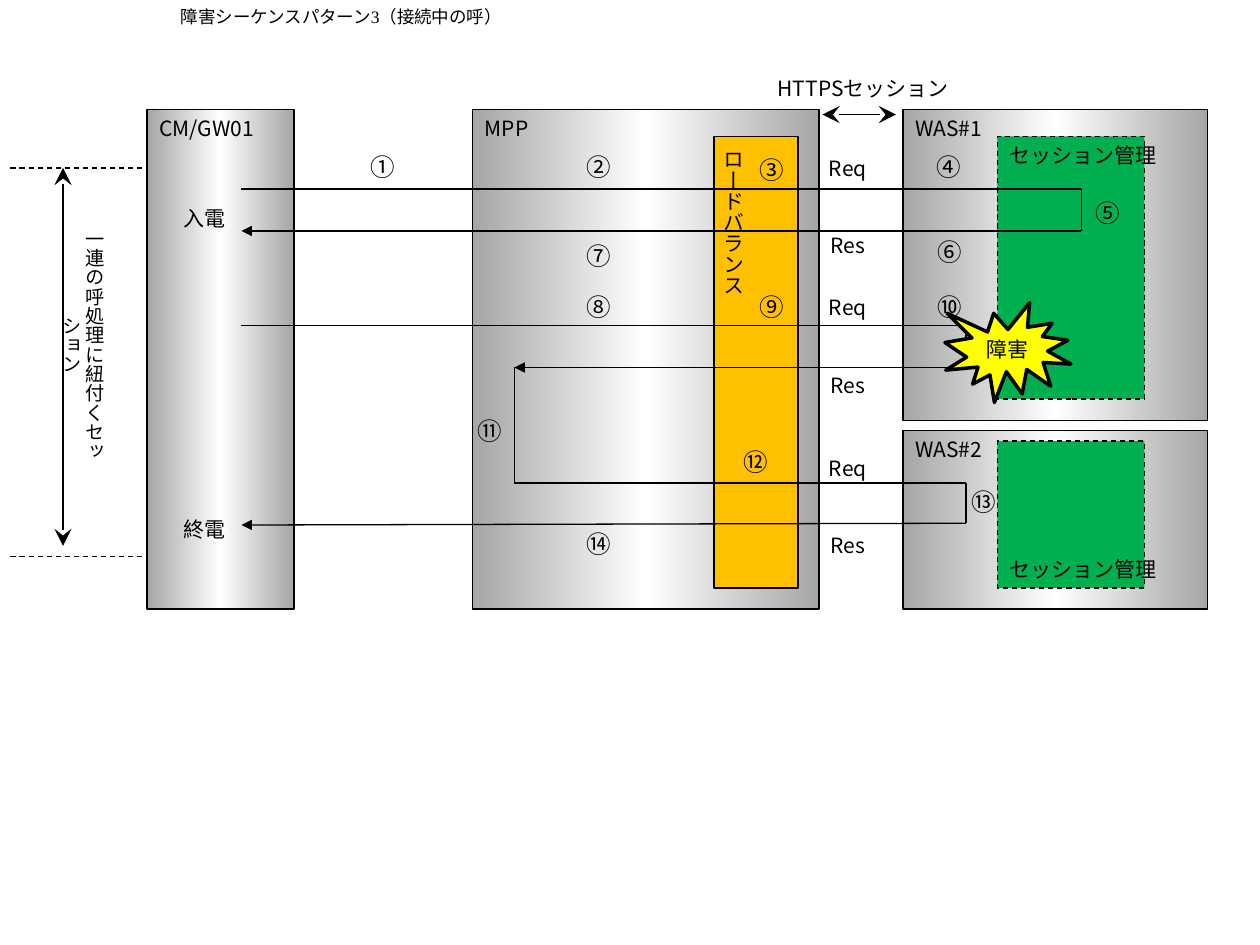
from copy import deepcopy

from lxml import etree
from pptx import Presentation
from pptx.dml.color import RGBColor
from pptx.enum.dml import MSO_LINE
from pptx.enum.shapes import MSO_CONNECTOR, MSO_SHAPE
from pptx.enum.text import MSO_ANCHOR, MSO_AUTO_SIZE, PP_ALIGN
from pptx.oxml.ns import qn
from pptx.util import Pt

RECT, BURST = MSO_SHAPE.RECTANGLE, MSO_SHAPE.EXPLOSION1
STRAIGHT, DASH = MSO_CONNECTOR.STRAIGHT, MSO_LINE.DASH
TOP, MIDDLE, BOTTOM = MSO_ANCHOR.TOP, MSO_ANCHOR.MIDDLE, MSO_ANCHOR.BOTTOM
LEFT, CENTER = PP_ALIGN.LEFT, PP_ALIGN.CENTER

BLACK = RGBColor(0, 0, 0)
WHITE = RGBColor(255, 255, 255)
GRAY = RGBColor(0xA6, 0xA6, 0xA6)
GREEN = RGBColor(0, 0xB0, 0x50)
ORANGE = RGBColor(0xFF, 0xC0, 0)
YELLOW = RGBColor(0xFF, 0xFF, 0)
FONT = "Noto Sans CJK JP"

TITLE = "障害シーケンスパターン3（接続中の呼）"

# Text, left, top, width, height
SYSTEMS = [
    ("WAS#1", 516, 62.5, 174, 178),
    ("WAS#2", 516, 246, 174, 102),
    ("CM/GW01", 84, 62.5, 84, 285.5),
    ("MPP", 270, 62.5, 198, 285.5),
]
# Top, height, anchor
SESSION_MANAGERS = [(78, 150, TOP), (252, 84, BOTTOM)]

# Points of each call flow; the last segment carries the arrowhead
FLOWS = [
    [(138, 108), (618, 108), (618, 132), (138, 132)],
    [(138, 186), (552, 186), (552, 210), (294, 210)],
    [(294, 210), (294, 276), (552, 276), (552, 299), (138, 300)],
]
SPANS = [[(36, 96), (36, 312)], [(470, 65.5), (512, 65.5)]]
LIMITS = [96, 318]

# Left and top of each step number
STEPS = {
    "①": (204, 83.5), "②": (327, 83.5), "③": (426, 85), "④": (527, 83.5),
    "⑤": (618, 109.5), "⑥": (528, 132), "⑦": (327, 134), "⑧": (327, 163.5),
    "⑨": (426, 163.5), "⑩": (528, 163.5), "⑪": (265, 234), "⑫": (417, 252),
    "⑬": (547, 274.5), "⑭": (327, 299),
}
MESSAGES = [("Req", 85.5), ("Res", 129.5), ("Req", 165),
            ("Res", 209.5), ("Req", 257), ("Res", 301)]
CALL_EVENTS = [("入電", 114), ("終電", 291.5)]


def write(shape, text, size=12, font=FONT, align=CENTER, anchor=TOP,
          wrap=True, vertical=False):
    frame = shape.text_frame
    frame.auto_size = MSO_AUTO_SIZE.NONE
    frame.word_wrap = wrap
    frame.vertical_anchor = anchor
    if vertical:
        frame._txBody.bodyPr.set("vert", "eaVert")
    para = frame.paragraphs[0]
    para.alignment = align
    span = para.add_run()
    span.text = text
    span.font.size = Pt(size)
    span.font.name = font
    span.font.color.rgb = BLACK
    east_asian = etree.SubElement(span.font._element, qn("a:ea"))
    east_asian.set("typeface", FONT)


def add_label(page, text, left, top, width, height, **text_format):
    box = page.shapes.add_textbox(Pt(left), Pt(top), Pt(width), Pt(height))
    write(box, text, **text_format)


def add_block(page, left, top, width, height, fill=None, kind=RECT, weight=0.75):
    block = page.shapes.add_shape(kind, Pt(left), Pt(top), Pt(width), Pt(height))
    block.shadow.inherit = False
    block.line.color.rgb = BLACK
    block.line.width = Pt(weight)
    if fill is None:
        shade(block)
    else:
        block.fill.solid()
        block.fill.fore_color.rgb = fill
    return block


def shade(block):
    """Fill with a horizontal gray, white, gray gradient."""
    block.fill.gradient()
    block.fill.gradient_angle = 0
    first = block._element.spPr.find(".//" + qn("a:gs"))
    first.addnext(deepcopy(first))
    stops = zip(block.fill.gradient_stops, (0, 0.5, 1), (GRAY, WHITE, GRAY))
    for stop, position, color in stops:
        stop.position = position
        stop.color.rgb = color


def add_line(page, start, end, dash=None, head=None, tail=None, size="med"):
    line = page.shapes.add_connector(STRAIGHT, *map(Pt, start + end))
    line.line.color.rgb = BLACK
    line.line.width = Pt(0.75)
    if dash:
        line.line.dash_style = dash
    outline = line.line._get_or_add_ln()
    for tag, kind in (("a:headEnd", head), ("a:tailEnd", tail)):
        if kind:
            arrow = etree.SubElement(outline, qn(tag))
            for name, value in (("type", kind), ("w", size), ("len", size)):
                arrow.set(name, value)
    etree.SubElement(line._element.spPr, qn("a:effectLst"))


def main():
    deck = Presentation()
    deck.slide_width, deck.slide_height = Pt(720), Pt(540)
    page = deck.slides.add_slide(deck.slide_layouts[5])

    title = page.shapes.title
    title.left, title.top, title.width, title.height = map(Pt, (0, 0, 390, 29))
    write(title, TITLE, size=10, font="Times New Roman")

    for name, *area in SYSTEMS:
        write(add_block(page, *area), name, align=LEFT, wrap=False)
    for top, height, anchor in SESSION_MANAGERS:
        manager = add_block(page, 570, top, 84, height, GREEN)
        manager.line.dash_style = DASH
        write(manager, "セッション管理", align=LEFT, anchor=anchor, wrap=False)
    balancer = add_block(page, 408, 78, 48, 258, ORANGE)
    write(balancer, "ロードバランス", anchor=BOTTOM, wrap=False, vertical=True)

    for y in LIMITS:
        add_line(page, (6, y), (84, y), dash=DASH)
    for start, end in SPANS:
        add_line(page, start, end, head="stealth", tail="stealth", size="lg")
    for points in FLOWS:
        segments = list(zip(points, points[1:]))
        for start, end in segments[:-1]:
            add_line(page, start, end)
        add_line(page, *segments[-1], tail="triangle")

    for number, (left, top) in STEPS.items():
        add_label(page, number, left, top, 30, 24, size=14)
    for message, top in MESSAGES:
        add_label(page, message, 463.5, top, 42, 21.5)
    for event, top in CALL_EVENTS:
        add_label(page, event, 96, top, 42, 21.5)
    add_label(page, "一連の呼処理に紐付くセッション", 36, 124, 28, 164,
              size=11, vertical=True)
    add_label(page, "HTTPSセッション", 432, 39.5, 122.5, 21.5)

    failure = add_block(page, 540, 173, 72, 57, YELLOW, kind=BURST, weight=2)
    write(failure, "障害", font="Calibri", anchor=MIDDLE)

    deck.save("out.pptx")


if __name__ == "__main__":
    main()
